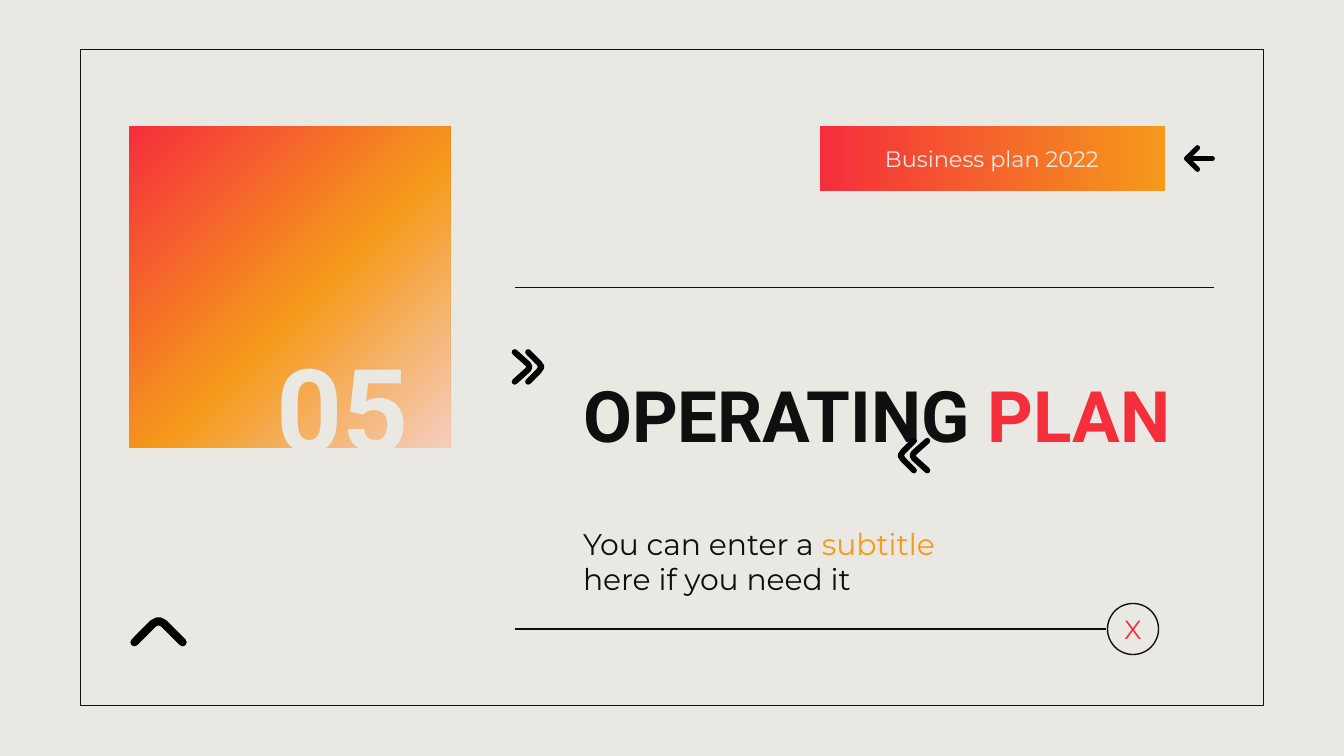
from lxml.etree import SubElement
from pptx import Presentation
from pptx.dml.color import RGBColor
from pptx.enum.shapes import MSO_CONNECTOR, MSO_SHAPE
from pptx.enum.text import MSO_ANCHOR, PP_ALIGN
from pptx.oxml.ns import qn
from pptx.util import Inches, Pt


class Theme:
    paper, ink, black = "E9E8E3", "100E0E", "000000"
    red, orange, blush = "F52E3C", "F59A1B", "F5CDBF"
    heading, body = "Roboto", "Montserrat"
    title, number, subtitle, label, mark = 38, 62, 16, 12, 14
    rule = 0.75


# Content: runs of (text, colour)
TITLE = [("OPERATING ", Theme.ink), ("PLAN", Theme.red)]
NUMBER = [("05", Theme.paper)]
SUBTITLE = [("You can enter a ", Theme.ink), ("subtitle ", Theme.orange),
            ("here if you need it", Theme.ink)]
LABEL = [("Business plan 2022", Theme.paper)]
MARK = [("X", Theme.red)]

# Icons: strokes around each icon's own centre
CHEVRONS = [
    [(-0.1, -0.11), (0.0, -0.02), (0.01, 0), (0.0, 0.02), (-0.1, 0.11)],
    [(0, -0.11), (0.08, -0.03), (0.1, 0), (0.08, 0.03), (0, 0.11)],
]
CARET = [[(-0.18, 0.05), (-0.04, -0.09), (0, -0.11), (0.04, -0.09), (0.18, 0.05)]]
ARROW = [[(-0.02, -0.08), (-0.1, 0), (-0.02, 0.08)], [(-0.1, 0), (0.09, 0)]]

# Widescreen slide, 16:9
prs = Presentation()
prs.slide_width = Inches(10)
prs.slide_height = prs.slide_width * 9 // 16
slide = prs.slides.add_slide(prs.slide_layouts[6])
shapes = slide.shapes
slide.background.fill.solid()
slide.background.fill.fore_color.rgb = RGBColor.from_string(Theme.paper)


def set_line(item, color=Theme.ink, width=Theme.rule):
    item.line.color.rgb = RGBColor.from_string(color)
    item.line.width = Pt(width)


def add_outline(kind, *box):
    shape = shapes.add_shape(kind, *map(Inches, box))
    shape.shadow.inherit = False
    shape.fill.background()
    set_line(shape)


def add_gradient(*box, stops, angle):
    """Rectangle with a linear gradient; stops are (percent, colour)."""
    shape = shapes.add_shape(MSO_SHAPE.RECTANGLE, *map(Inches, box))
    shape.shadow.inherit = False
    shape.line.fill.background()
    shape.fill.gradient()
    shape.fill.gradient_angle = angle
    stop_list = shape._element.spPr.find(qn("a:gradFill")).find(qn("a:gsLst"))
    for old in list(stop_list):
        stop_list.remove(old)
    for percent, color in stops:
        stop = SubElement(stop_list, qn("a:gs"), pos=str(percent * 1000))
        SubElement(stop, qn("a:srgbClr"), val=color)


def add_text(runs, *box, size, font=Theme.body, bold=False, align=PP_ALIGN.LEFT):
    frame = shapes.add_textbox(*map(Inches, box)).text_frame
    frame.word_wrap = True
    frame.vertical_anchor = MSO_ANCHOR.MIDDLE
    frame.margin_left = frame.margin_right = Inches(0.1)
    frame.margin_top = frame.margin_bottom = Inches(0.1)
    paragraph = frame.paragraphs[0]
    paragraph.alignment = align
    for text, color in runs:
        run = paragraph.add_run()
        run.text = text
        run.font.name, run.font.size, run.font.bold = font, Pt(size), bold
        run.font.color.rgb = RGBColor.from_string(color)


def add_rule(left, right, y):
    rule = shapes.add_connector(MSO_CONNECTOR.STRAIGHT, Inches(left), Inches(y),
                                Inches(right), Inches(y))
    set_line(rule)
    SubElement(rule._element.spPr, qn("a:effectLst"))


def add_icon(strokes, x, y, width, flip=1):
    """Open strokes with round ends; flip=-1 mirrors them left to right."""
    lines = [[(Inches(x + flip * dx), Inches(y + dy)) for dx, dy in stroke]
             for stroke in strokes]
    builder = shapes.build_freeform(*lines[0][0])
    for i, points in enumerate(lines):
        if i:
            builder.move_to(*points[0])
        builder.add_line_segments(points[1:], close=False)
    icon = builder.convert_to_shape()
    icon.shadow.inherit = False
    icon.fill.background()
    set_line(icon, Theme.black, width)
    outline = icon.line._get_or_add_ln()
    outline.set("cap", "rnd")
    SubElement(outline, qn("a:round"))


# Frame and number square
add_outline(MSO_SHAPE.RECTANGLE, 0.6, 0.37, 8.8, 4.88)
add_gradient(0.96, 0.94, 2.39, 2.39, angle=315,
             stops=[(0, Theme.red), (55, Theme.orange), (100, Theme.blush)])

# Headline, number and subtitle
add_text(TITLE, 4.24, 2.32, 4.8, 1.52, size=Theme.title, font=Theme.heading, bold=True)
add_text(NUMBER, 1.47, 2.56, 2.16, 0.92, size=Theme.number, font=Theme.heading,
         bold=True, align=PP_ALIGN.CENTER)
add_text(SUBTITLE, 4.24, 3.84, 3.15, 0.67, size=Theme.subtitle)

# Rules and the closing circle
add_rule(3.83, 8.23, 4.68)
add_outline(MSO_SHAPE.OVAL, 8.24, 4.49, 0.38, 0.38)
add_rule(3.83, 9.03, 2.14)

# Icons around the headline
add_icon(CHEVRONS, 6.8, 3.39, 3.2, flip=-1)
add_icon(CARET, 1.18, 4.73, 4.3)
add_icon(CHEVRONS, 3.93, 2.73, 3.2)

# Banner with its arrow
add_gradient(6.1, 0.94, 2.57, 0.48, angle=0,
             stops=[(0, Theme.red), (100, Theme.orange)])
add_text(LABEL, 6.44, 1.06, 1.88, 0.24, size=Theme.label, align=PP_ALIGN.CENTER)
add_icon(ARROW, 8.93, 1.18, 2.8)

# Mark inside the circle
add_text(MARK, 8.16, 4.55, 0.54, 0.26, size=Theme.mark, align=PP_ALIGN.CENTER)

prs.save("out.pptx")
